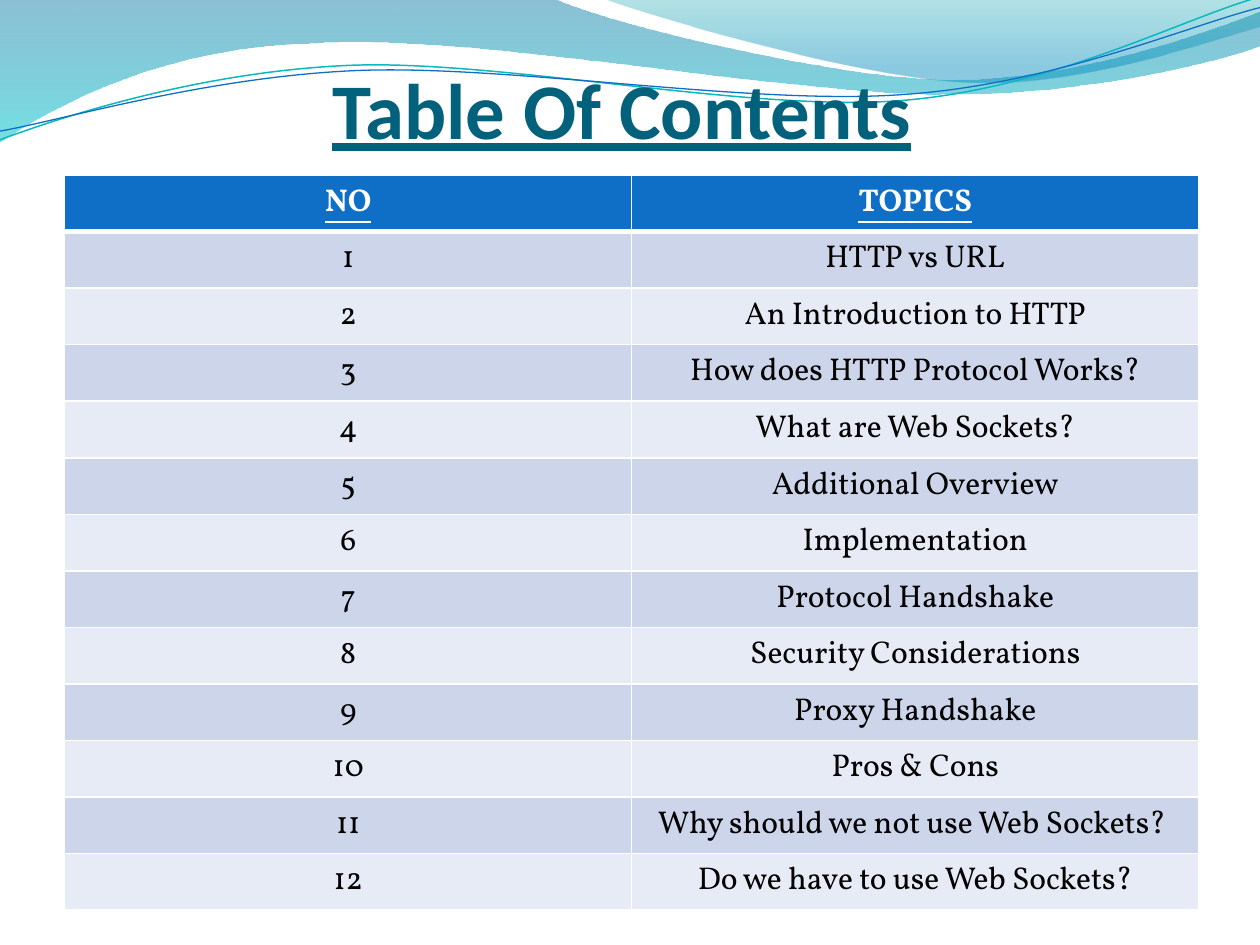
from lxml.etree import SubElement
from pptx import Presentation
from pptx.dml.color import RGBColor as RGB
from pptx.enum.text import MSO_ANCHOR as Anchor, PP_ALIGN as Align
from pptx.oxml.ns import qn
from pptx.util import Pt

# Content
TITLE = "Table Of Contents"
HEADER = ("NO", "TOPICS")
TOPICS = [
    "HTTP vs URL",
    "An Introduction to HTTP",
    "How does HTTP Protocol Works?",
    "What are Web Sockets?",
    "Additional Overview",
    "Implementation",
    "Protocol Handshake",
    "Security Considerations",
    "Proxy Handshake",
    "Pros & Cons",
    "Why should we not use Web Sockets? ",
    "Do we have to use Web Sockets?",
]
COLORS = {
    "title": "04617B", "header": "0F6FC6", "odd": "CCD5EA", "even": "E7EBF5",
    "white": "FFFFFF", "black": "000000", "teal line": "0AB8BF", "blue line": "0F6FC6",
    "deep blue": "0074A1", "aqua": "00C6CF", "teal": "00A1A9", "sky": "008BBF",
}

# Outlines in points: a pair is a straight step, six numbers are a Bezier curve
WAVES = [
    {"points": [(0, 0), (316.8, -0.7), (342.7, 12.2, 478, 45.4, 545.8, 45.4),
                (614.2, 45.4, 689.8, 18.7, 720, 6.5), (720.7, 25.9),
                (707.8, 31.7, 626.4, 54.7, 537.1, 54), (447.8, 54, 275, 20.2, 185, 24.5),
                (92.9, 25.9, 33.1, 59.8, -0.7, 81.4)],
     "stops": [(0, "deep blue", 45), (1, "aqua", 55)]},
    {"points": [(344.9, -0.7), (366.5, 7.9, 491, 44.6, 553.7, 46.8),
                (616.3, 49.7, 691.9, 23, 720, 15.1), (720, 0)],
     "stops": [(0, "teal", 30), (0.8, "sky", 45)]},
    {"points": [(0, 79.9), (34.6, 67, 113.8, 41, 199.4, 37.4),
                (284.4, 33.8, 427, 64.1, 513.4, 57.6),
                (599.8, 51.1, 675.4, 10.8, 718.6, -1.4)],
     "line": ("teal line", 0.85)},
    {"points": [(0, 74.9), (33.8, 69.1, 118.1, 43.9, 203.8, 40.3),
                (290.2, 36.7, 429.8, 60.5, 516.2, 54),
                (601.9, 48.2, 677.5, 15.1, 720, 4.3)],
     "line": ("blue line", 0.75)},
]
ROW_HEIGHT = 29.2
COLUMN_WIDTH = 324


def color(name):
    return RGB.from_string(COLORS[name])


def bend(wave, points):
    """Put a Bezier curve in place of each step that has control points."""
    steps = list(wave._element.iter(qn("a:lnTo")))
    for step, point in zip(steps, points[1:]):
        if len(point) == 2:
            continue
        step.remove(step[0])
        step.tag = qn("a:cubicBezTo")
        for x, y in zip(point[::2], point[1::2]):
            SubElement(step, qn("a:pt"), x=str(Pt(x) - wave.left), y=str(Pt(y) - wave.top))


def add_wave(page, points, stops=None, line=None):
    corners = [(Pt(point[-2]), Pt(point[-1])) for point in points]
    builder = page.shapes.build_freeform(*corners[0])
    builder.add_line_segments(corners[1:], close=bool(stops))
    wave = builder.convert_to_shape()
    bend(wave, points)
    wave.shadow.inherit = False
    if line:
        wave.fill.background()
        wave.line.color.rgb = color(line[0])
        wave.line.width = Pt(line[1])
        return
    wave.line.fill.background()
    wave.fill.gradient()
    wave.fill.gradient_angle = 270
    for stop, (position, name, opacity) in zip(wave.fill.gradient_stops, stops):
        stop.position = position
        stop.color.rgb = color(name)
    for rgb, (_, _, opacity) in zip(wave._element.spPr.iter(qn("a:srgbClr")), stops):
        SubElement(rgb, qn("a:alpha"), val=str(opacity * 1000))


def write(frame, text, font_color, **font):
    para = frame.paragraphs[0]
    para.alignment = Align.CENTER
    span = para.add_run()
    span.text = text
    for name, value in font.items():
        setattr(span.font, name, value)
    span.font.color.rgb = color(font_color)


def add_borders(cell, widths):
    properties = cell._tc.get_or_add_tcPr()
    for side, width in widths.items():
        border = SubElement(properties, qn("a:ln" + side), w=str(Pt(width)))
        SubElement(SubElement(border, qn("a:solidFill")), qn("a:srgbClr"), val=COLORS["white"])


deck = Presentation()
deck.slide_width, deck.slide_height = Pt(720), Pt(540)
page = deck.slides.add_slide(deck.slide_layouts[5])

# Waves across the top
for wave in WAVES:
    add_wave(page, **wave)

# Title, in front of the waves
title = page.shapes.title
page.shapes._spTree.append(title._element)
for name, value in {"left": 31.3, "top": 26, "width": 648, "height": 62.6}.items():
    setattr(title, name, Pt(value))
frame = title.text_frame
for name, value in {"margin_left": 0, "margin_top": Pt(3.6), "margin_right": 0,
                    "margin_bottom": 0, "vertical_anchor": Anchor.BOTTOM,
                    "word_wrap": True}.items():
    setattr(frame, name, value)
write(frame, TITLE, "title", name="Calibri", size=Pt(45), bold=True, underline=True)

# Table of topics
rows = [HEADER] + [(str(number), topic) for number, topic in enumerate(TOPICS, 1)]
table = page.shapes.add_table(len(rows), 2, Pt(37), Pt(100), Pt(2 * COLUMN_WIDTH),
                              Pt(ROW_HEIGHT * len(rows))).table
for index, row in enumerate(rows):
    table.rows[index].height = Pt(ROW_HEIGHT)
    is_header = index == 0
    fill = "header" if is_header else "odd" if index % 2 else "even"
    for column, text in enumerate(row):
        cell = table.cell(index, column)
        add_borders(cell, {"L": 1, "R": 1, "T": 3 if index == 1 else 1,
                           "B": 3 if is_header else 1})
        cell.fill.solid()
        cell.fill.fore_color.rgb = color(fill)
        write(cell.text_frame, text, "white" if is_header else "black", name="Vollkorn",
              size=Pt(18), bold=is_header, underline=is_header)

deck.save("out.pptx")
